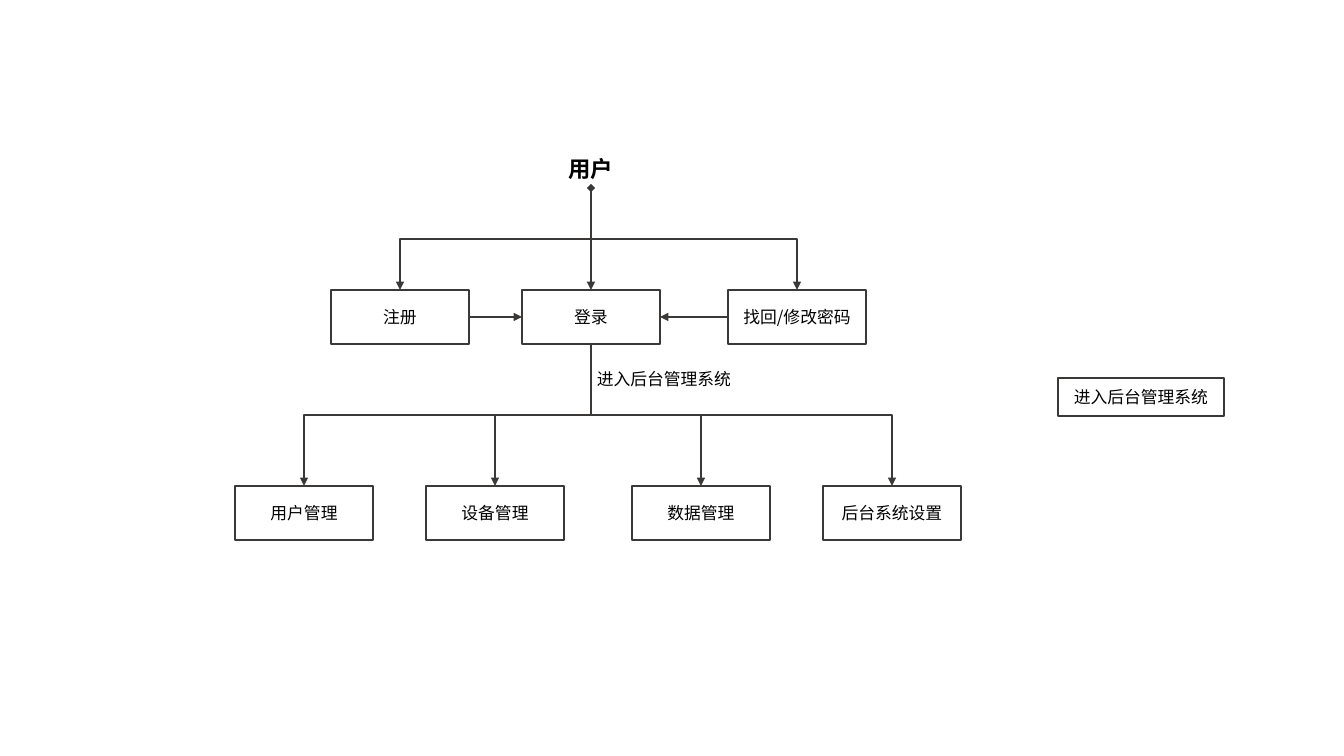
from dataclasses import dataclass

from lxml.etree import SubElement
from pptx import Presentation
from pptx.dml.color import RGBColor
from pptx.enum.shapes import MSO_CONNECTOR as Connector, MSO_SHAPE as Shape
from pptx.enum.text import MSO_ANCHOR as Anchor, PP_ALIGN as Align
from pptx.oxml.ns import qn
from pptx.util import Pt

EMU_PER_PX = 914400 / 100.8
TOP, LEFT, BOTTOM, RIGHT = range(4)
NODE_WIDTH, NODE_HEIGHT = 138, 54


@dataclass(frozen=True)
class Theme:
    font: str = "Noto Sans CJK SC"
    text: RGBColor = RGBColor(0, 0, 0)
    fill: RGBColor = RGBColor(255, 255, 255)
    line: RGBColor = RGBColor(0x3B, 0x38, 0x38)
    body_size: Pt = Pt(12)
    root_size: Pt = Pt(16)
    border_width: Pt = Pt(1)
    arrow_width: Pt = Pt(1.5)


THEME = Theme()


def px(length):
    return round(length * EMU_PER_PX)


def write_text(shape, text, size=THEME.body_size, bold=False):
    frame = shape.text_frame
    frame.word_wrap = True
    frame.vertical_anchor = Anchor.MIDDLE
    frame.margin_left = frame.margin_right = 0
    frame.margin_top = frame.margin_bottom = 0
    paragraph = frame.paragraphs[0]
    paragraph.text = text
    paragraph.alignment = Align.CENTER
    font = paragraph.font
    font.size, font.bold, font.name = size, bold, THEME.font
    font.color.rgb = THEME.text
    SubElement(font._element, qn("a:ea"), typeface=THEME.font)


def add_box(slide, box, text, outlined=True, **style):
    shape = slide.shapes.add_shape(Shape.RECTANGLE, *map(px, box))
    shape.shadow.inherit = False
    shape.fill.solid()
    shape.fill.fore_color.rgb = THEME.fill
    if outlined:
        shape.line.color.rgb = THEME.line
        shape.line.width = THEME.border_width
    else:
        shape.line.fill.background()
    write_text(shape, text, **style)
    return shape


def add_label(slide, box, text):
    write_text(slide.shapes.add_textbox(*map(px, box)), text)


def add_arrow(slide, kind, start, start_site, end, end_site, head=None):
    arrow = slide.shapes.add_connector(kind, 0, 0, 0, 0)
    arrow.begin_connect(start, start_site)
    arrow.end_connect(end, end_site)
    arrow.line.color.rgb = THEME.line
    arrow.line.width = THEME.arrow_width
    line = arrow.line._get_or_add_ln()
    if head:
        SubElement(line, qn("a:headEnd"), type=head)
    SubElement(line, qn("a:tailEnd"), type="triangle")
    SubElement(arrow.element.spPr, qn("a:effectLst"))
    return arrow


def add_branch(slide, parent, child):
    arrow = add_arrow(slide, Connector.ELBOW, parent, BOTTOM, child, TOP)
    across, down = arrow.end_x - arrow.begin_x, arrow.end_y - arrow.begin_y
    center_x = (arrow.begin_x + arrow.end_x) // 2
    center_y = (arrow.begin_y + arrow.end_y) // 2
    arrow.width, arrow.height = down, abs(across)
    arrow.left = center_x - down // 2
    arrow.top = center_y - abs(across) // 2
    transform = arrow.element.spPr.find(qn("a:xfrm"))
    transform.set("rot", str((270 if across > 0 else 90) * 60000))
    transform.set("flipH", "1" if across > 0 else "0")
    transform.set("flipV", "0")


def add_row(slide, left, top, entries):
    return [
        add_box(slide, (left + offset, top, NODE_WIDTH, NODE_HEIGHT), text)
        for offset, text in entries
    ]


def add_flow(slide, box):
    left, top, width, height = box
    login_left = left + 287
    root = add_box(slide, (login_left, top, NODE_WIDTH, 39), "用户",
                   outlined=False, size=THEME.root_size, bold=True)
    register, login, recover = add_row(slide, left, top + 141, [
        (96, "注册"), (287, "登录"), (493, "找回/修改密码")])
    modules = add_row(slide, left, top + height - NODE_HEIGHT, [
        (0, "用户管理"), (191, "设备管理"),
        (397, "数据管理"), (width - NODE_WIDTH, "后台系统设置")])
    add_label(slide, (login_left + 59, top + 211, 166, 38), "进入后台管理系统")

    for child in (register, recover):
        add_branch(slide, root, child)
    for module in modules:
        add_branch(slide, login, module)
    add_arrow(slide, Connector.STRAIGHT, root, BOTTOM, login, TOP, head="diamond")
    add_arrow(slide, Connector.STRAIGHT, register, RIGHT, login, LEFT)
    add_arrow(slide, Connector.STRAIGHT, recover, LEFT, login, RIGHT)


def main():
    presentation = Presentation()
    presentation.slide_width, presentation.slide_height = px(1344), px(756)
    slide = presentation.slides.add_slide(presentation.slide_layouts[6])
    add_flow(slide, (235, 149, 726, 391))
    add_box(slide, (1058, 378, 166, 38), "进入后台管理系统")
    presentation.save("out.pptx")


if __name__ == "__main__":
    main()
